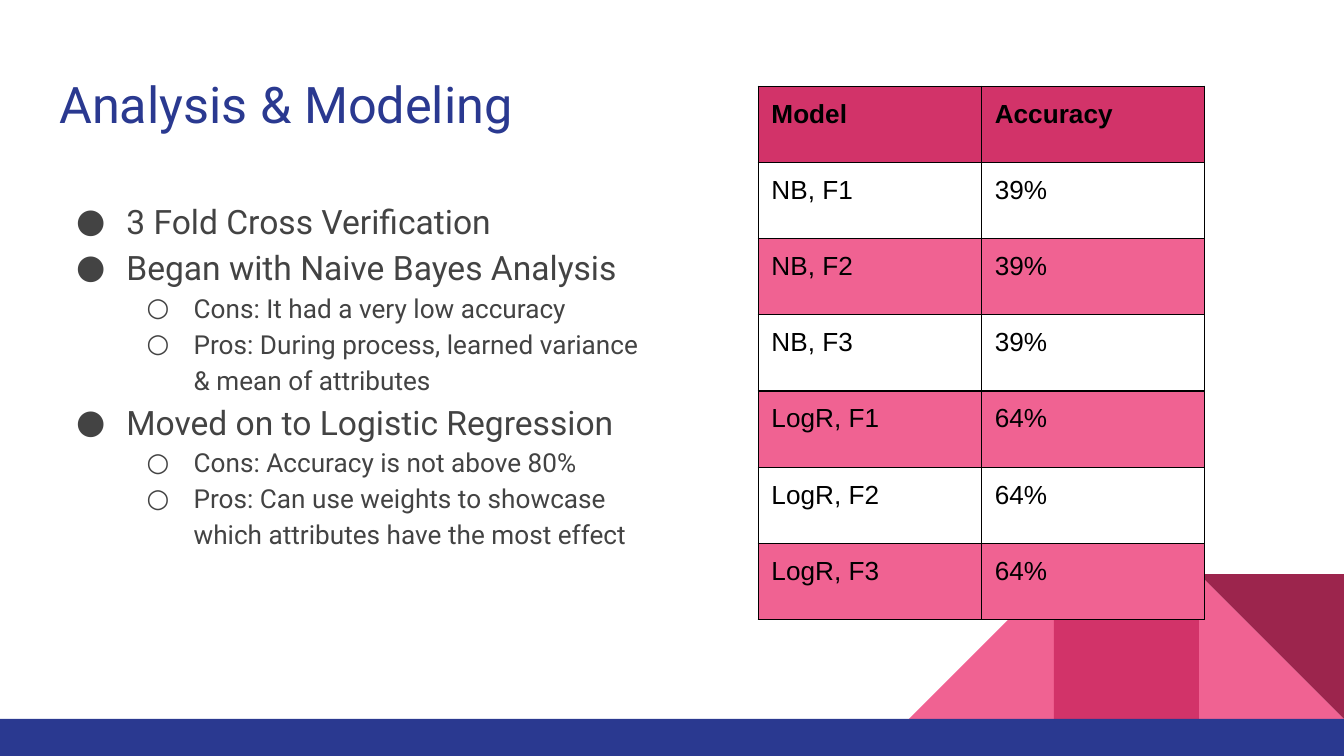
from dataclasses import dataclass
from typing import Any

from lxml.etree import SubElement
from pptx import Presentation
from pptx.dml.color import RGBColor
from pptx.enum.shapes import MSO_SHAPE
from pptx.oxml.ns import qn
from pptx.util import Cm, Pt

COLORS = {
    "navy": "2A3990",
    "pink": "F06292",
    "magenta": "D23369",
    "plum": "9C254D",
    "gray": "434343",
    "black": "000000",
}
TILE = 2.74
SLIDE_WIDTH, SLIDE_HEIGHT = 25.4, 14.29
FLOOR = 13.59
MARGINS = {f"margin_{side}": Cm(0.25) for side in ("left", "right", "top", "bottom")}


@dataclass
class Tile:
    kind: MSO_SHAPE
    column: int
    color: str
    rotation: int = 0
    mirrored: bool = False


@dataclass
class Level:
    marker: str
    size: int
    left: float
    hanging: float


@dataclass
class Point:
    text: str
    level: int = 0


TILES = [
    Tile(MSO_SHAPE.RIGHT_TRIANGLE, 1, "pink"),
    Tile(MSO_SHAPE.RIGHT_TRIANGLE, 3, "pink", mirrored=True),
    Tile(MSO_SHAPE.RECTANGLE, 2, "magenta"),
    Tile(MSO_SHAPE.RIGHT_TRIANGLE, 1, "plum", rotation=180),
]
LEVELS = [Level("●", 18, 1.27, 0.95), Level("○", 14, 2.54, 0.89)]
POINTS = [
    Point("3 Fold Cross Verification"),
    Point("Began with Naive Bayes Analysis"),
    Point("Cons: It had a very low accuracy", 1),
    Point("Pros: During process, learned variance & mean of attributes", 1),
    Point("Moved on to Logistic Regression"),
    Point("Cons: Accuracy is not above 80%", 1),
    Point("Pros: Can use weights to showcase which attributes have the most effect", 1),
]
RESULTS = [
    ("Model", "Accuracy"),
    ("NB, F1", "39%"),
    ("NB, F2", "39%"),
    ("NB, F3", "39%"),
    ("LogR, F1", "64%"),
    ("LogR, F2", "64%"),
    ("LogR, F3", "64%"),
]


def rgb(color: str) -> RGBColor:
    return RGBColor.from_string(COLORS[color])


def apply_format(target: Any, values: dict[str, Any]) -> None:
    for name, value in values.items():
        setattr(target, name, value)


def add_run(paragraph: Any, text: str, color: str, **font_values: Any) -> None:
    run = paragraph.add_run()
    run.text = text
    run.font.color.rgb = rgb(color)
    apply_format(run.font, font_values)


def add_block(slide: Any, kind: MSO_SHAPE, left: float, top: float,
              width: float, height: float, color: str) -> Any:
    block = slide.shapes.add_shape(kind, Cm(left), Cm(top), Cm(width), Cm(height))
    block.shadow.inherit = False
    block.fill.solid()
    block.fill.fore_color.rgb = rgb(color)
    block.line.fill.background()
    return block


def add_tile(slide: Any, tile: Tile) -> None:
    left = SLIDE_WIDTH - tile.column * TILE
    block = add_block(slide, tile.kind, left, FLOOR - TILE, TILE, TILE, tile.color)
    block.rotation = tile.rotation
    if tile.mirrored:
        block._element.spPr.find(qn("a:xfrm")).set("flipH", "1")


def add_text_frame(slide: Any, left: float, top: float, width: float, height: float) -> Any:
    frame = slide.shapes.add_textbox(Cm(left), Cm(top), Cm(width), Cm(height)).text_frame
    apply_format(frame, {"word_wrap": True, **MARGINS})
    return frame


def add_point(paragraph: Any, point: Point) -> None:
    level = LEVELS[point.level]
    apply_format(paragraph, {"level": point.level, "line_spacing": 1.15})
    properties = paragraph._p.get_or_add_pPr()
    properties.set("marL", str(Cm(level.left)))
    properties.set("indent", str(-Cm(level.hanging)))
    marker_color = SubElement(properties, qn("a:buClr"))
    SubElement(marker_color, qn("a:srgbClr"), val=COLORS["gray"])
    SubElement(properties, qn("a:buFont"), typeface="Roboto")
    SubElement(properties, qn("a:buChar"), char=level.marker)
    add_run(paragraph, point.text, "gray", name="Roboto", size=Pt(level.size))


def add_borders(cell: Any) -> None:
    properties = cell._tc.get_or_add_tcPr()
    for position, side in enumerate(("a:lnL", "a:lnR", "a:lnT", "a:lnB")):
        border = properties.makeelement(qn(side), {"w": str(Pt(0.75))})
        fill = SubElement(border, qn("a:solidFill"))
        SubElement(fill, qn("a:srgbClr"), val=COLORS["black"])
        properties.insert(position, border)


def add_results(slide: Any) -> None:
    column_width, row_height = 4.22, 1.44
    results = slide.shapes.add_table(
        len(RESULTS), 2, Cm(14.33), Cm(1.63),
        Cm(2 * column_width), Cm(len(RESULTS) * row_height)).table
    apply_format(results, {"first_row": False, "horz_banding": False})
    for column in results.columns:
        column.width = Cm(column_width)
    for row_index, values in enumerate(RESULTS):
        results.rows[row_index].height = Cm(row_height)
        is_header = row_index == 0
        for column_index, value in enumerate(values):
            cell = results.cell(row_index, column_index)
            apply_format(cell, MARGINS)
            if row_index % 2:
                cell.fill.background()
            else:
                cell.fill.solid()
                cell.fill.fore_color.rgb = rgb("magenta" if is_header else "pink")
            add_borders(cell)
            add_run(cell.text_frame.paragraphs[0], value, "black",
                    name="Arial", size=Pt(14), bold=is_header)


def main() -> None:
    presentation = Presentation()
    apply_format(presentation, {"slide_width": Cm(SLIDE_WIDTH), "slide_height": Cm(SLIDE_HEIGHT)})
    slide = presentation.slides.add_slide(presentation.slide_layouts[6])

    for tile in TILES:
        add_tile(slide, tile)
    add_block(slide, MSO_SHAPE.RECTANGLE, 0, FLOOR, SLIDE_WIDTH, SLIDE_HEIGHT - FLOOR, "navy")

    title = add_text_frame(slide, 0.87, 1.14, 23.67, 1.68)
    add_run(title.paragraphs[0], "Analysis & Modeling", "navy", name="Roboto", size=Pt(27))

    body = add_text_frame(slide, 0.87, 3.43, 11.46, 9.27)
    for index, point in enumerate(POINTS):
        add_point(body.add_paragraph() if index else body.paragraphs[0], point)

    add_results(slide)
    presentation.save("out.pptx")


if __name__ == "__main__":
    main()
